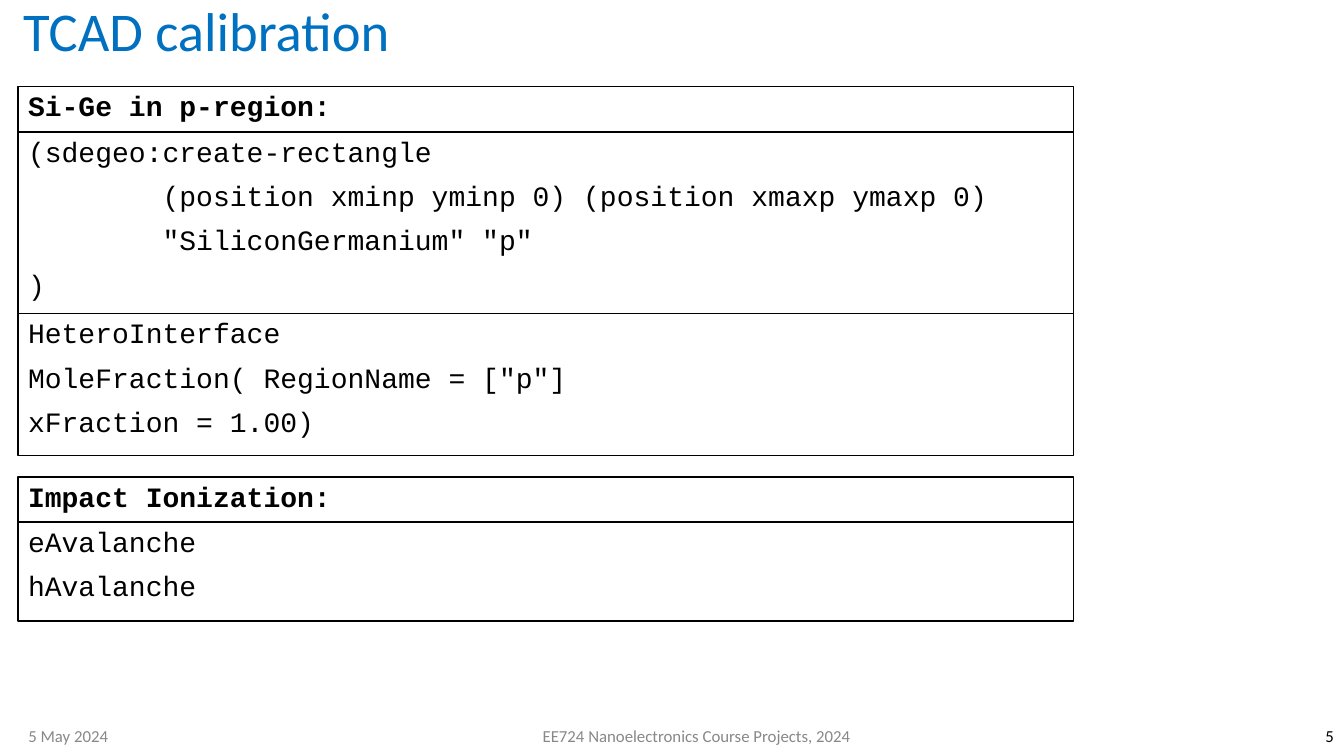
from pptx import Presentation
from pptx.dml.color import RGBColor
from pptx.enum.shapes import MSO_SHAPE
from pptx.enum.text import MSO_ANCHOR, PP_ALIGN
from pptx.util import Inches, Pt

RECTANGLE = MSO_SHAPE.RECTANGLE
TOP, MIDDLE = MSO_ANCHOR.TOP, MSO_ANCHOR.MIDDLE
LEFT, CENTER, RIGHT = PP_ALIGN.LEFT, PP_ALIGN.CENTER, PP_ALIGN.RIGHT

WHITE = RGBColor(0xFF, 0xFF, 0xFF)
BLACK = RGBColor(0x00, 0x00, 0x00)
BLUE = RGBColor(0x00, 0x70, 0xC0)
GRAY = RGBColor(0x88, 0x88, 0x88)

# Code panels: top of each stack, then (height, bold, lines) from top to bottom
REGION_TOP, IONIZATION_TOP = 11.47, 63.07
REGION_PANELS = [
    (6, True, ["Si-Ge in p-region:"]),
    (24, False, [
        "(sdegeo:create-rectangle",
        "        (position xminp yminp 0) (position xmaxp ymaxp 0)",
        '        "SiliconGermanium" "p"',
        ")",
    ]),
    (18.8, False, [
        "HeteroInterface",
        'MoleFraction( RegionName = ["p"]',
        "xFraction = 1.00)",
    ]),
]
IONIZATION_PANELS = [
    (6, True, ["Impact Ionization:"]),
    (13.07, False, ["eAvalanche", "hAvalanche"]),
]


class SlideBuilder:
    """Places elements by percentages of the slide's width and height."""

    text_font, code_font = "Calibri", "Courier New"
    panel_left, panel_width = 1.35, 78.54
    footer_top, footer_height = 95.47, 3.6

    def __init__(self, presentation):
        self.width = presentation.slide_width
        self.height = presentation.slide_height
        self.slide = presentation.slides.add_slide(presentation.slide_layouts[5])

    def box(self, left, top, width, height):
        return (int(self.width * left / 100), int(self.height * top / 100),
                int(self.width * width / 100), int(self.height * height / 100))

    def set_text(self, shape, lines, font_name, size, color, bold=False,
                 align=LEFT, anchor=MIDDLE, inset=(0.05, 0.05), spacing=1.0):
        frame = shape.text_frame
        frame.text = "\n".join(lines)
        frame.word_wrap = True
        frame.vertical_anchor = anchor
        frame.margin_left = frame.margin_right = Inches(inset[0])
        frame.margin_top = frame.margin_bottom = Inches(inset[1])
        for index, paragraph in enumerate(frame.paragraphs):
            paragraph.alignment = align
            paragraph.line_spacing = spacing
            paragraph.space_before = Pt(10 if index else 0)
            for run in paragraph.runs:
                run.font.name = font_name
                run.font.size = Pt(size)
                run.font.bold = bold
                run.font.color.rgb = color

    def title(self, text):
        title = self.slide.shapes.title
        title.left, title.top, title.width, title.height = self.box(
            self.panel_left, 0, 89.8, 9.07)
        self.set_text(title, [text], self.text_font, 39, BLUE, spacing=0.9)

    def panel(self, top, height, bold, lines):
        panel = self.slide.shapes.add_shape(
            RECTANGLE, *self.box(self.panel_left, top, self.panel_width, height))
        panel.shadow.inherit = False
        panel.fill.solid()
        panel.fill.fore_color.rgb = WHITE
        panel.line.color.rgb = BLACK
        panel.line.width = Pt(1)
        self.set_text(panel, lines, self.code_font, 20, BLACK, bold,
                      anchor=TOP, inset=(0.1, 0.06), spacing=0.9)

    def panel_stack(self, top, panels):
        for height, bold, lines in panels:
            self.panel(top, height, bold, lines)
            top += height

    def footer(self, left, width, text, color, align):
        footer = self.slide.shapes.add_textbox(
            *self.box(left, self.footer_top, width, self.footer_height))
        self.set_text(footer, [text], self.text_font, 12, color, align=align)


def main():
    presentation = Presentation()
    presentation.slide_width = Inches(13.33)
    presentation.slide_height = Inches(7.5)
    builder = SlideBuilder(presentation)

    # Title
    builder.title("TCAD calibration")

    # Code panels
    builder.panel_stack(REGION_TOP, REGION_PANELS)
    builder.panel_stack(IONIZATION_TOP, IONIZATION_PANELS)

    # Footer
    builder.footer(1.73, 9.08, "5 May 2024", GRAY, LEFT)
    builder.footer(23.03, 57.61, "EE724 Nanoelectronics Course Projects, 2024",
                   GRAY, CENTER)
    builder.footer(98.12, 1.5, "5", BLACK, RIGHT)

    presentation.save("out.pptx")


if __name__ == "__main__":
    main()
